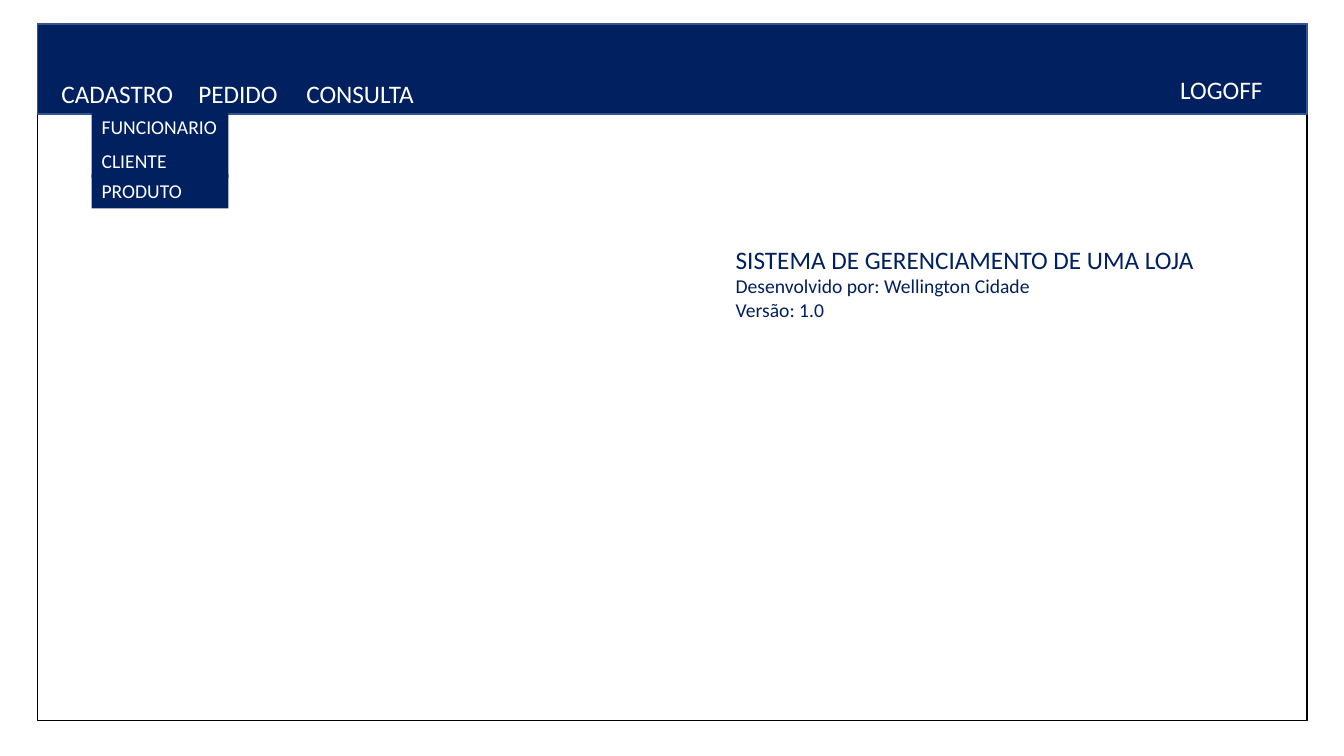
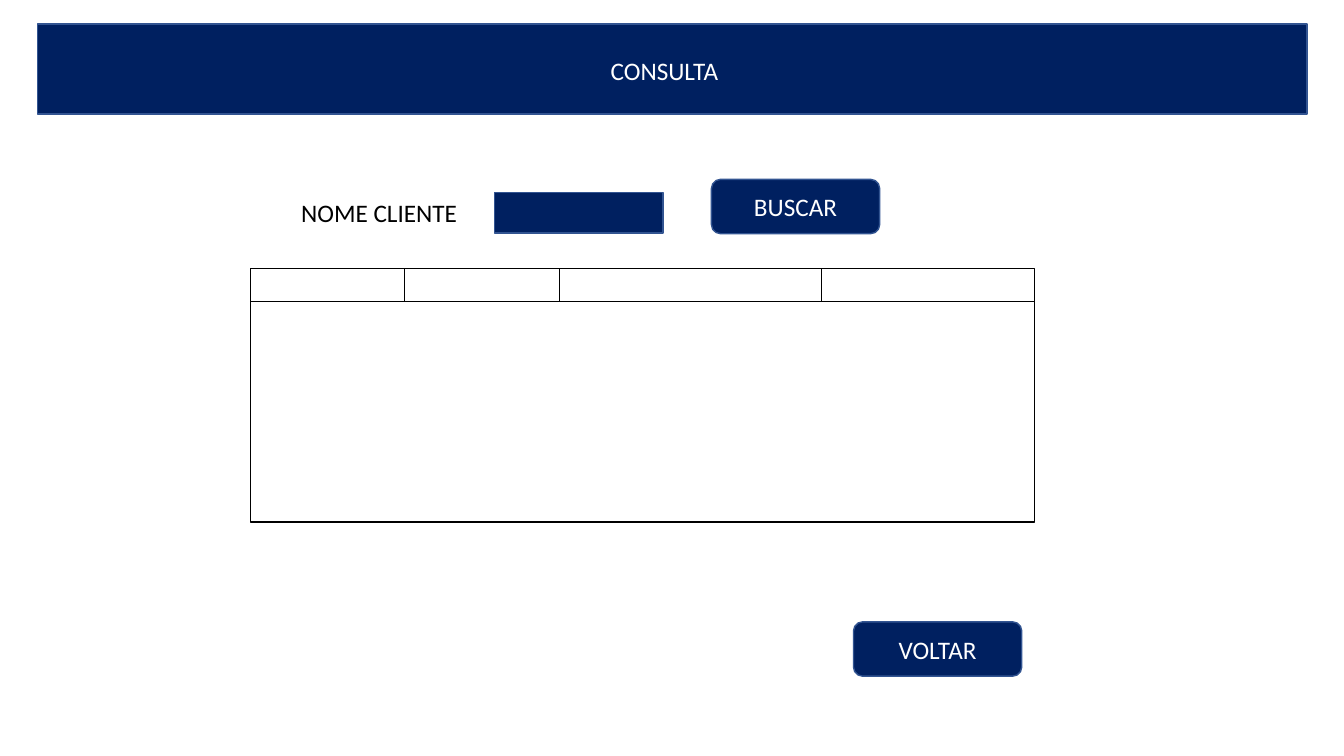
from lxml.etree import SubElement
from pptx import Presentation
from pptx.dml.color import RGBColor
from pptx.enum.shapes import MSO_CONNECTOR, MSO_SHAPE
from pptx.enum.text import MSO_ANCHOR, MSO_AUTO_SIZE, PP_ALIGN
from pptx.oxml.ns import qn
from pptx.util import Cm, Pt

FONT = "Calibri"
NAVY, EDGE, WHITE, BLACK = "002060", "325491", "FFFFFF", "000000"
BAND = (0.94, 0.61, 32, 2.26)
ITEM_W, BUTTON_W, LINE_H = 3.45, 4.24, 1.02
rgb = RGBColor.from_string


def draw(slide, kind, at, fill=NAVY, line=EDGE):
    shape = slide.shapes.add_shape(kind, *map(Cm, at))
    shape.shadow.inherit = False
    shape.fill.solid()
    shape.fill.fore_color.rgb = rgb(fill)
    if line:
        shape.line.color.rgb = rgb(line)
        shape.line.width = Pt(1)
    else:
        shape.line.fill.background()
    return shape


def write(shape, *texts, sizes=(18,), color=WHITE, align=PP_ALIGN.LEFT,
          anchor=MSO_ANCHOR.TOP, auto=MSO_AUTO_SIZE.SHAPE_TO_FIT_TEXT):
    frame = shape.text_frame
    frame.word_wrap = True
    frame.auto_size = auto
    frame.vertical_anchor = anchor
    frame.text = "\n".join(texts)
    for paragraph, size in zip(frame.paragraphs, sizes):
        paragraph.alignment = align
        for run in paragraph.runs:
            run.font.name = FONT
            run.font.size = Pt(size)
            run.font.color.rgb = rgb(color)


deck = Presentation()
deck.slide_width, deck.slide_height = Cm(33.87), Cm(19.05)
blank = deck.slide_layouts[6]

home = deck.slides.add_slide(blank)
draw(home, MSO_SHAPE.RECTANGLE, (0.94, 0.61, 32, 17.55), WHITE, BLACK)
draw(home, MSO_SHAPE.RECTANGLE, BAND)

for option, left, top in (("CADASTRO", 1.3, 1.85), ("PEDIDO", 4.75, 1.85),
                          ("CONSULTA", 7.47, 1.85), ("LOGOFF", 29.49, 1.75)):
    write(home.shapes.add_textbox(Cm(left), Cm(top), Cm(ITEM_W), Cm(LINE_H)), option)

for entry, top in (("FUNCIONARIO", 2.77), ("CLIENTE", 3.63), ("PRODUTO", 4.39)):
    submenu = draw(home, MSO_SHAPE.RECTANGLE, (2.31, top, ITEM_W, 0.86), line=None)
    write(submenu, entry, sizes=(14,))

about = home.shapes.add_textbox(Cm(18.29), Cm(6.02), Cm(13.13), Cm(3.58))
write(about, "SISTEMA DE GERENCIAMENTO DE UMA LOJA",
      "Desenvolvido por: Wellington Cidade", "Versão: 1.0",
      sizes=(18, 14, 14), color=NAVY)

search = deck.slides.add_slide(blank)
draw(search, MSO_SHAPE.RECTANGLE, BAND)
heading = search.shapes.add_textbox(Cm(15.14), Cm(1.27), Cm(BUTTON_W), Cm(LINE_H))
write(heading, "CONSULTA")

for action, left, top in (("VOLTAR", 21.51, 15.67), ("BUSCAR", 17.93, 4.52)):
    button = draw(search, MSO_SHAPE.ROUNDED_RECTANGLE, (left, top, BUTTON_W, 1.37))
    write(button, action, align=PP_ALIGN.CENTER, anchor=MSO_ANCHOR.MIDDLE,
          auto=MSO_AUTO_SIZE.NONE)

draw(search, MSO_SHAPE.RECTANGLE, (12.47, 4.85, BUTTON_W, LINE_H))
client = search.shapes.add_textbox(Cm(7.34), Cm(4.85), Cm(4.6), Cm(LINE_H))
write(client, "NOME CLIENTE", color=BLACK)

grid_left, grid_top, grid_width, grid_height = 6.32, 6.76, 19.76, 6.4
header_bottom = 7.59
draw(search, MSO_SHAPE.RECTANGLE,
     (grid_left, grid_top, grid_width, grid_height), WHITE, BLACK)
rules = [(grid_left, header_bottom, grid_left + grid_width, header_bottom)]
rules += [(x, grid_top, x, header_bottom) for x in (10.19, 14.1, 20.7)]
for ends in rules:
    rule = search.shapes.add_connector(MSO_CONNECTOR.STRAIGHT, *map(Cm, ends))
    rule.line.color.rgb = rgb(BLACK)
    rule.line.width = Pt(0.5)
    SubElement(rule.element.spPr, qn("a:effectLst"))

deck.save("out.pptx")
